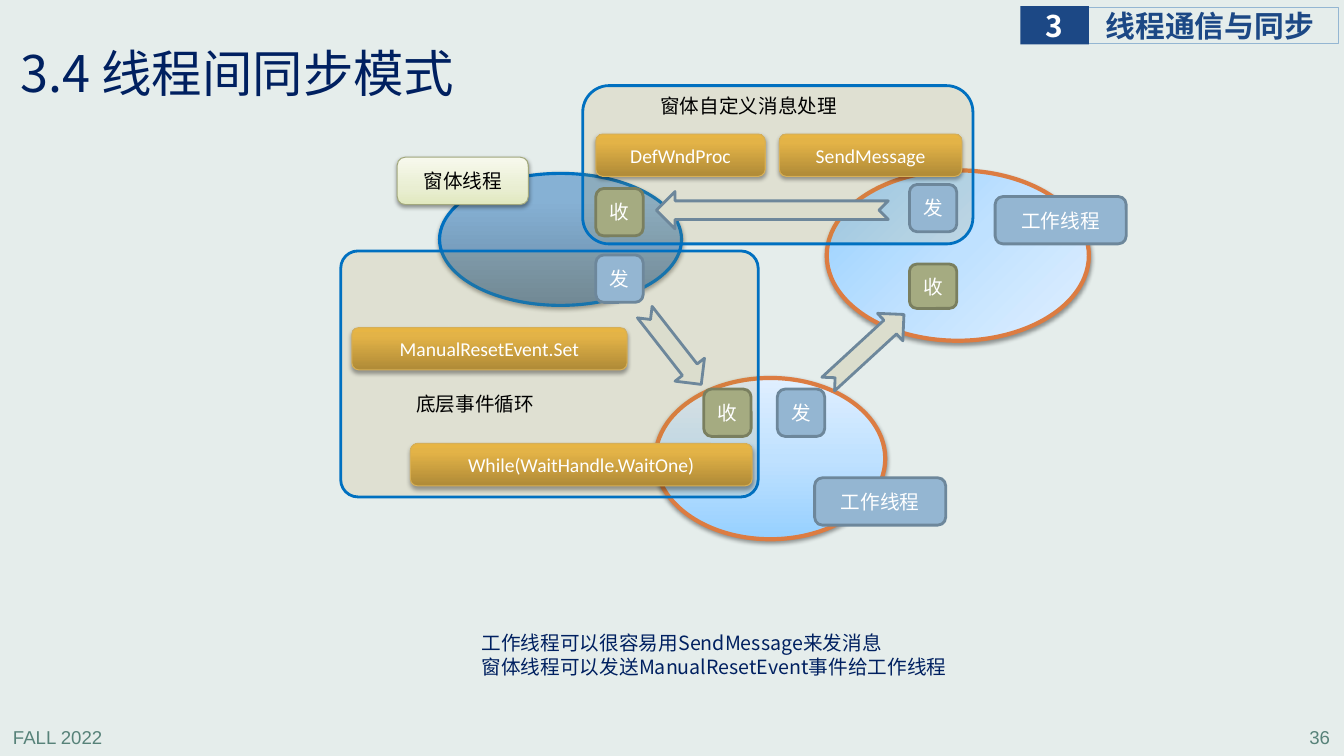
import dataclasses

import lxml.etree
import pptx
import pptx.dml.color
import pptx.enum.shapes
import pptx.enum.text
import pptx.oxml.ns
import pptx.util

EMU_PER_PX = 9144  # 100 px to the inch
SHAPES = pptx.enum.shapes.MSO_SHAPE
ALIGN = pptx.enum.text.PP_ALIGN
ANCHOR = pptx.enum.text.MSO_ANCHOR


@dataclasses.dataclass(frozen=True)
class Look:
    fill: object = None  # colour, or a tuple of (position, colour) stops
    line: object = None
    width: float = 0.75
    text: str = "FFFFFF"
    alpha: int = 100
    radial: bool = False
    shadow: tuple = ()  # opacity %, distance in points


class Theme:
    background, navy, header, footer, black = "E5EDEB", "002060", "1C4885", "578279", "000000"
    cjk, latin, plain = "Noto Sans CJK SC", "Calibri", "Arial"
    title_size, header_size, body_size, footer_size = 36, 21.3, 14, 13.3
    label_spacing = 17
    sky = ((0, "96D0FF"), (50, "BFE1FF"), (100, "E0EFFF"))
    soft, strong = (38, 1.6), (35, 1.8)

    worker = Look(sky, "DC7C42", 3, shadow=soft)
    radial_worker = dataclasses.replace(worker, radial=True)
    window = Look(((0, "6788A4"), (80, "86B1D4"), (100, "86B2D7")), "0070C0", 2.25, shadow=strong)
    region = Look("BA8F2D", "0070C0", 2, alpha=13)
    arrow = Look("DBDDCD", "6D879B", 2)
    call = Look(((0, "AF8A37"), (80, "E3B347"), (100, "E7B544")), "D6AF57", shadow=strong)
    blue = Look("94B6D2", "6D879B", 2)
    green = Look("A5AB81", "7A7F5F", 2)
    pale = Look(((0, "E1E8BF"), (35, "E9EED2"), (100, "F7F9ED")), "A2A87D", text=black, shadow=soft)
    badge = Look(header)
    heading = Look(None, "94B6D2", text=header)


def px(value):
    return pptx.util.Emu(value * EMU_PER_PX)


def rgb(colour):
    return pptx.dml.color.RGBColor.from_string(colour)


def add_xml(parent, tag, **attributes):
    child = lxml.etree.SubElement(parent, pptx.oxml.ns.qn(tag))
    for name, value in attributes.items():
        child.set(name, str(value))
    return child


class SlideBuilder:
    def __init__(self, presentation, theme):
        self.theme = theme
        self.slide = presentation.slides.add_slide(presentation.slide_layouts[5])
        self.slide.background.fill.solid()
        self.slide.background.fill.fore_color.rgb = rgb(theme.background)

    def set_text(self, shape, lines, colour, size=None, font=None, bold=False,
                 align=ALIGN.LEFT, anchor=ANCHOR.TOP, margins=(10, 5, 10, 5), spacing=None):
        frame = shape.text_frame
        frame.word_wrap = True
        frame.vertical_anchor = anchor
        (frame.margin_left, frame.margin_top,
         frame.margin_right, frame.margin_bottom) = map(px, margins)
        for index, line in enumerate(lines):
            paragraph = frame.add_paragraph() if index else frame.paragraphs[0]
            paragraph.alignment = align
            paragraph.line_spacing = spacing
            run = paragraph.add_run()
            run.text = line
            run.font.size = pptx.util.Pt(size or self.theme.body_size)
            run.font.bold = bold
            run.font.color.rgb = rgb(colour)
            run.font.name = font or self.theme.cjk
            add_xml(run.font._element, "a:ea", typeface=self.theme.cjk)

    def title(self, text, box):
        shape = self.slide.shapes.title
        shape.left, shape.top, shape.width, shape.height = map(px, box)
        self.set_text(shape, [text], self.theme.navy, self.theme.title_size,
                      anchor=ANCHOR.MIDDLE, margins=(8, 4, 8, 4), spacing=0.9)

    def label(self, lines, box, colour, **style):
        shape = self.slide.shapes.add_textbox(*map(px, box))
        self.set_text(shape, lines, colour, **style)

    def paint_gradient(self, shape, look):
        shape.fill.gradient()
        gradient = shape.element.spPr.find(pptx.oxml.ns.qn("a:gradFill"))
        for child in list(gradient):
            gradient.remove(child)
        stops = add_xml(gradient, "a:gsLst")
        for position, colour in look.fill:
            stop = add_xml(stops, "a:gs", pos=position * 1000)
            add_xml(stop, "a:srgbClr", val=colour)
        if look.radial:
            circle = add_xml(gradient, "a:path", path="circle")
            add_xml(circle, "a:fillToRect", r=100000, b=100000)
        else:
            add_xml(gradient, "a:lin", ang=270 * 60000, scaled=0)

    def paint(self, shape, look):
        properties = shape.element.spPr
        if look.fill is None:
            shape.fill.background()
        elif isinstance(look.fill, tuple):
            self.paint_gradient(shape, look)
        else:
            shape.fill.solid()
            shape.fill.fore_color.rgb = rgb(look.fill)
            if look.alpha < 100:
                colour = properties.find(".//" + pptx.oxml.ns.qn("a:srgbClr"))
                add_xml(colour, "a:alpha", val=look.alpha * 1000)
        if look.line:
            shape.line.color.rgb = rgb(look.line)
            shape.line.width = pptx.util.Pt(look.width)
        else:
            shape.line.fill.background()
        shape.shadow.inherit = False
        if look.shadow:
            opacity, distance = look.shadow
            effects = properties.find(pptx.oxml.ns.qn("a:effectLst"))
            shadow = add_xml(effects, "a:outerShdw", blurRad=pptx.util.Pt(3.1),
                             dist=pptx.util.Pt(distance), dir=90 * 60000, rotWithShape=0)
            colour = add_xml(shadow, "a:srgbClr", val=self.theme.black)
            add_xml(colour, "a:alpha", val=opacity * 1000)

    def shape(self, kind, box, look, rotation=0, corner=None):
        shape = self.slide.shapes.add_shape(kind, *map(px, box))
        self.paint(shape, look)
        shape.rotation = rotation
        if corner is not None:
            shape.adjustments[0] = corner
        return shape

    def box(self, text, box, look, kind=SHAPES.ROUNDED_RECTANGLE, **style):
        style = {"align": ALIGN.CENTER, "anchor": ANCHOR.MIDDLE, **style}
        self.set_text(self.shape(kind, box, look), [text], look.text, **style)


def main():
    presentation = pptx.Presentation()
    presentation.slide_width, presentation.slide_height = px(1333), px(750)
    theme = Theme()
    builder = SlideBuilder(presentation, theme)

    # Title, chapter header and footer
    builder.title("3.4 线程间同步模式", (12, 39, 477, 74))
    header = {"kind": SHAPES.RECTANGLE, "size": theme.header_size, "bold": True}
    builder.box(" 线程通信与同步", (1078, 7, 250, 36), theme.heading,
                align=ALIGN.LEFT, margins=(12, 0, 0, 0), **header)
    builder.box("3", (1012, 6, 68, 38), theme.badge, margins=(0, 0, 0, 0), **header)
    for text, left, align in (("FALL 2022", 3, ALIGN.LEFT), ("36", 1051, ALIGN.RIGHT)):
        builder.label([text], (left, 716, 278, 31), theme.footer, size=theme.footer_size,
                      font=theme.plain, align=align, anchor=ANCHOR.MIDDLE)

    # Threads and the message regions that overlap them
    builder.shape(SHAPES.OVAL, (650, 375, 228, 160), theme.worker)
    builder.shape(SHAPES.OVAL, (436, 172, 240, 131), theme.window)
    builder.shape(SHAPES.ROUNDED_RECTANGLE, (338, 249, 414, 244), theme.region, corner=0.07)
    builder.shape(SHAPES.OVAL, (820, 169, 260, 169), theme.radial_worker)
    builder.shape(SHAPES.ROUNDED_RECTANGLE, (578, 85, 387, 157), theme.region)

    # Message arrows
    for box, rotation in (((651, 190, 230, 37), 180), ((808, 328, 102, 37), 317.4),
                          ((622, 327, 91, 37), 52)):
        builder.shape(SHAPES.NOTCHED_RIGHT_ARROW, box, theme.arrow, rotation)

    # Thread names
    for text, left, top, look in (("工作线程", 987, 195, theme.blue),
                                  ("工作线程", 808, 474, theme.blue),
                                  ("窗体线程", 394, 156, theme.pale)):
        builder.box(text, (left, top, 130, 47), look)

    # Send and receive ports
    for left, top, height in ((902, 183, 47), (771, 386, 47), (591, 253, 47)):
        builder.box("发", (left, top, 47, height), theme.blue)
    for left, top, height in ((591, 187, 47), (902, 262, 44), (698, 386, 47)):
        builder.box("收", (left, top, 47, height), theme.green)

    # Calls
    for text, left, top, width in (("DefWndProc", 591, 133, 168),
                                   ("SendMessage", 773, 133, 181),
                                   ("ManualResetEvent.Set", 349, 325, 273),
                                   ("While(WaitHandle.WaitOne)", 407, 440, 339)):
        builder.box(text, (left, top, width, 42), theme.call, font=theme.latin)

    # Region names and summary
    spacing = pptx.util.Pt(theme.label_spacing)
    builder.label(["窗体自定义消息处理"], (645, 88, 247, 40), theme.black, spacing=spacing)
    builder.label(["底层事件循环"], (403, 384, 173, 40), theme.black, spacing=spacing)
    builder.label(["工作线程可以很容易用SendMessage来发消息",
                   "窗体线程可以发送ManualResetEvent事件给工作线程"],
                  (468, 621, 504, 57), theme.navy, spacing=spacing)

    presentation.save("out.pptx")


if __name__ == "__main__":
    main()
